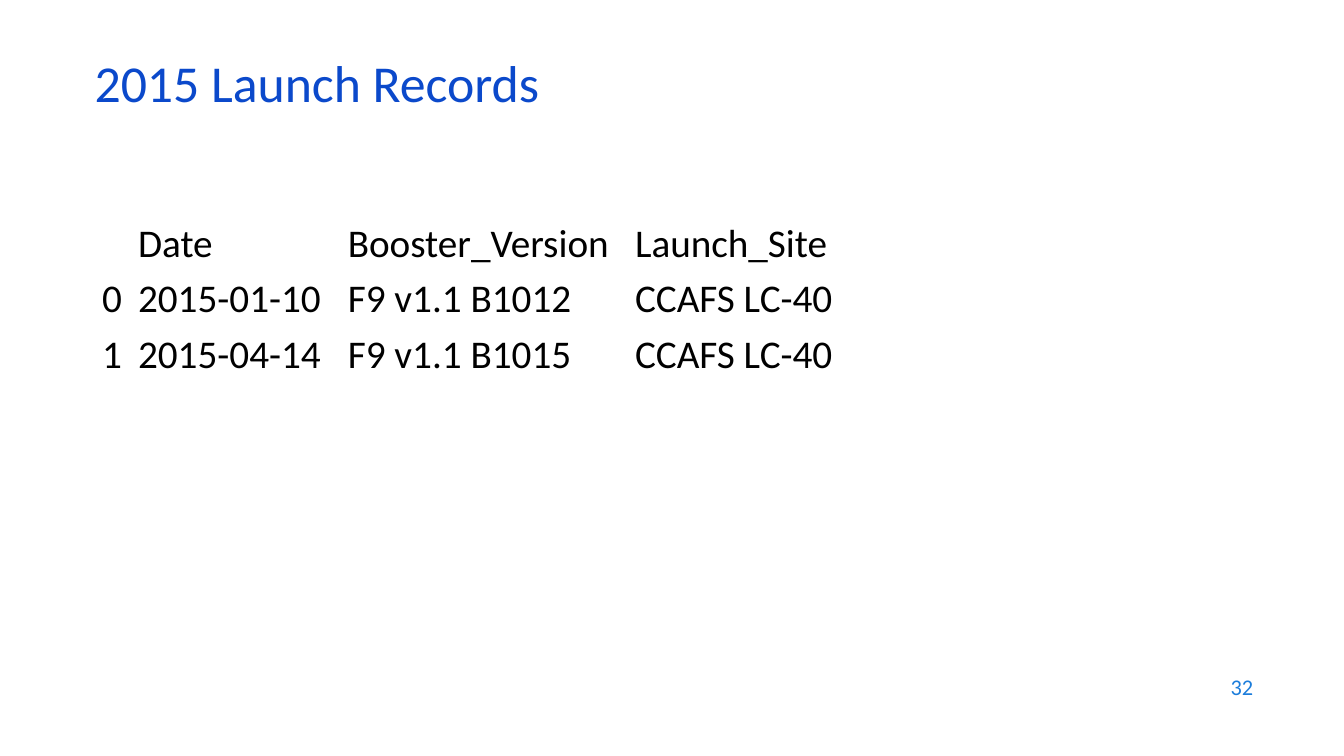
from pptx import Presentation
from pptx.dml.color import RGBColor
from pptx.enum.text import MSO_ANCHOR, PP_ALIGN
from pptx.util import Pt

FONT = "Calibri"
LAUNCH_RECORDS = [
    ("", "Date", "Booster_Version", "Launch_Site"),
    ("0", "2015-01-10", "F9 v1.1 B1012", "CCAFS LC-40"),
    ("1", "2015-04-14", "F9 v1.1 B1015", "CCAFS LC-40"),
]


def color(hex_string):
    """Turn a hex string into a colour."""
    return RGBColor.from_string(hex_string)


def write(paragraph, text, size, hex_string, alignment=PP_ALIGN.LEFT):
    """Add one styled run to a paragraph."""
    paragraph.alignment = alignment
    run = paragraph.add_run()
    run.text = text
    run.font.name = FONT
    run.font.size = Pt(size)
    run.font.color.rgb = color(hex_string)


def add_text(slide, box, text, size, hex_string, alignment=PP_ALIGN.LEFT, line_spacing=1.0):
    """Place a vertically centred line of text in a box."""
    text_frame = slide.shapes.add_textbox(*map(Pt, box)).text_frame
    text_frame.word_wrap = True
    text_frame.vertical_anchor = MSO_ANCHOR.MIDDLE
    paragraph = text_frame.paragraphs[0]
    paragraph.line_spacing = line_spacing
    write(paragraph, text, size, hex_string, alignment)


def add_records_table(slide, box, column_widths, records):
    """Place a plain table whose index column is right-aligned."""
    left, top, width, height = box
    table = slide.shapes.add_table(
        len(records), len(column_widths), Pt(left), Pt(top), Pt(width), Pt(height)
    ).table
    table.first_row = False
    table.horz_banding = False
    for column, column_width in zip(table.columns, column_widths):
        column.width = Pt(column_width)
    for row_index, record in enumerate(records):
        table.rows[row_index].height = Pt(height / len(records))
        for column_index, text in enumerate(record):
            cell = table.cell(row_index, column_index)
            cell.fill.background()
            cell.vertical_anchor = MSO_ANCHOR.MIDDLE
            cell.margin_left = cell.margin_right = Pt(5.76)
            cell.margin_top = cell.margin_bottom = Pt(2.88)
            if text:
                alignment = PP_ALIGN.LEFT if column_index else PP_ALIGN.RIGHT
                write(cell.text_frame.paragraphs[0], text, 28, "000000", alignment)


def build_records_slide(presentation):
    """Build the launch records slide."""
    slide = presentation.slides.add_slide(presentation.slide_layouts[6])
    add_text(slide, (60.5, 42.5, 828, 43.2), "2015 Launch Records", 37, "0B49CB", line_spacing=0.7)
    add_records_table(slide, (60.5, 154.1, 620, 119), (32.4, 149.8, 205.2, 232.6), LAUNCH_RECORDS)
    add_text(slide, (686.2, 474.5, 216, 31.7), "32", 16, "1C7DDB", PP_ALIGN.RIGHT)


def main():
    """Create and save the presentation."""
    presentation = Presentation()
    presentation.slide_width = Pt(960)
    presentation.slide_height = Pt(540)
    build_records_slide(presentation)
    presentation.save("out.pptx")


if __name__ == "__main__":
    main()
